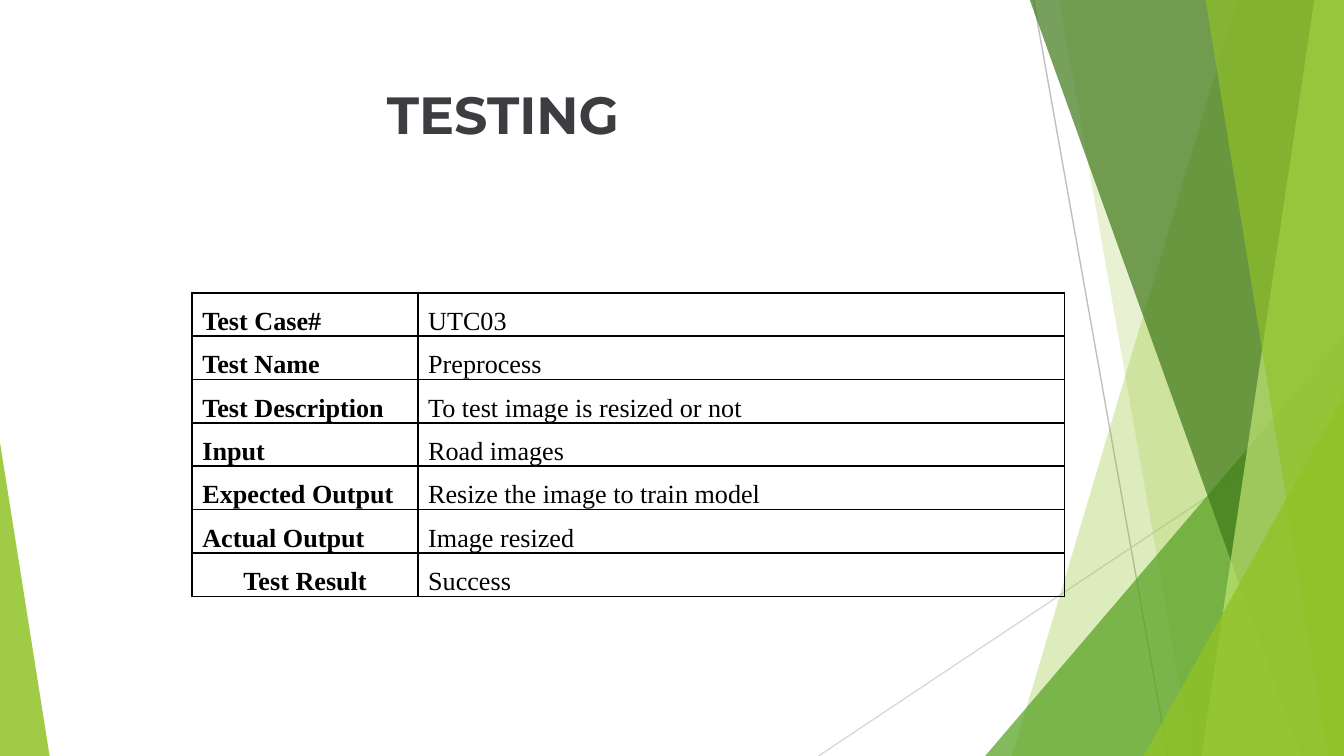
from lxml import etree
from pptx import Presentation
from pptx.dml.color import RGBColor
from pptx.enum import shapes, text
from pptx.oxml import ns
from pptx.util import Pt

WIDTH, HEIGHT = 720, 405
TOP = -0.6
GREEN = "90C226"


def color(value):
    return RGBColor.from_string(value)


class Deck:
    heading_font = "Montserrat"
    table_font = "Times New Roman"
    ink = "000000"

    def __init__(self):
        self.presentation = Presentation()
        self.presentation.slide_width = Pt(WIDTH)
        self.presentation.slide_height = Pt(HEIGHT)
        self.slide = self.presentation.slides.add_slide(self.presentation.slide_layouts[5])

    def line(self, start, end, stroke):
        connector = self.slide.shapes.add_connector(
            shapes.MSO_CONNECTOR.STRAIGHT, *map(Pt, start + end))
        connector.line.color.rgb = color(stroke)
        connector.line.width = Pt(0.75)
        etree.SubElement(connector._element.spPr, ns.qn("a:effectLst"))

    def paint(self, shape, fill, opacity):
        shape.shadow.inherit = False
        shape.line.fill.background()
        shape.fill.solid()
        shape.fill.fore_color.rgb = color(fill)
        tint = shape._element.spPr.find(".//" + ns.qn("a:srgbClr"))
        etree.SubElement(tint, ns.qn("a:alpha"), val=str(opacity * 1000))

    def band(self, top_left, bottom_left, fill, opacity):
        builder = self.slide.shapes.build_freeform(Pt(top_left), Pt(TOP))
        corners = [(WIDTH, TOP), (WIDTH, HEIGHT), (bottom_left, HEIGHT)]
        builder.add_line_segments([(Pt(x), Pt(y)) for x, y in corners])
        self.paint(builder.convert_to_shape(), fill, opacity)

    def triangle(self, left, top, width, apex, fill, opacity):
        shape = self.slide.shapes.add_shape(
            shapes.MSO_SHAPE.ISOSCELES_TRIANGLE,
            Pt(left), Pt(top), Pt(width), Pt(HEIGHT - top))
        shape.adjustments[0] = apex
        self.paint(shape, fill, opacity)

    def title(self, wording, left, top, width, height):
        title = self.slide.shapes.title
        title.left, title.top, title.width, title.height = map(Pt, (left, top, width, height))
        self.slide.shapes._spTree.append(title._element)
        frame = title.text_frame
        frame.text = wording
        frame.word_wrap = True
        frame.auto_size = text.MSO_AUTO_SIZE.NONE
        frame.vertical_anchor = text.MSO_ANCHOR.TOP
        frame.margin_left = frame.margin_right = Pt(5)
        frame.margin_top = frame.margin_bottom = Pt(3)
        paragraph = frame.paragraphs[0]
        paragraph.alignment = text.PP_ALIGN.LEFT
        self.font(paragraph, self.heading_font, 28, "3C3D40", True)

    def font(self, paragraph, name, size, fill, bold):
        font = paragraph.font
        font.name, font.size, font.bold = name, Pt(size), bold
        font.color.rgb = color(fill)

    def table(self, rows, left, top, widths, row_height):
        table = self.slide.shapes.add_table(
            len(rows), len(widths), Pt(left), Pt(top),
            Pt(sum(widths)), Pt(row_height * len(rows))).table
        table.first_row = table.horz_banding = False
        for column, width in zip(table.columns, widths):
            column.width = Pt(width)
        for row, wordings in zip(table.rows, rows):
            row.height = Pt(row_height)
            for index, (cell, wording) in enumerate(zip(row.cells, wordings)):
                self.cell(cell, wording, index == 0)
        return table

    def cell(self, cell, wording, bold):
        cell.margin_left = cell.margin_right = Pt(5.4)
        cell.margin_top = cell.margin_bottom = 0
        cell.text = wording
        paragraph = cell.text_frame.paragraphs[0]
        paragraph.alignment = text.PP_ALIGN.JUSTIFY
        paragraph.line_spacing = 1.5
        paragraph.space_after = Pt(10)
        self.font(paragraph, self.table_font, 14, self.ink, bold)
        properties = cell._tc.get_or_add_tcPr()
        for side in ("lnL", "lnR", "lnT", "lnB"):
            border = etree.SubElement(properties, ns.qn("a:" + side), w=str(Pt(1)))
            fill = etree.SubElement(border, ns.qn("a:solidFill"))
            etree.SubElement(fill, ns.qn("a:srgbClr"), val=self.ink)
        cell.fill.background()


def main():
    deck = Deck()
    deck.line((553.7, 0), (625.7, HEIGHT), "BFBFBF")
    deck.line((WIDTH, 217.4), (438.5, HEIGHT), "D9D9D9")
    deck.band(663, 542.2, GREEN, 30)
    deck.band(567.4, 638.6, GREEN, 20)
    deck.triangle(527.8, 180, 192.2, 1, "54A021", 72)
    deck.band(551.5, 697, "3F7819", 70)
    deck.band(704.2, 643.7, "C0E474", 70)
    deck.band(645.8, 711.4, GREEN, 65)
    deck.triangle(612.7, 211.7, 107.3, 1, GREEN, 80)
    deck.triangle(0, 236.9, 26.6, 0, GREEN, 85)

    deck.title("TESTING", 202.3, 41, 386.6, 70.6)
    test_case = [
        ("Test Case#", "UTC03"),
        ("Test Name", "Preprocess"),
        ("Test Description", "To test image is resized or not"),
        ("Input", "Road images"),
        ("Expected Output", "Resize the image to train model"),
        ("Actual Output", "Image resized"),
        ("Test Result", "Success"),
    ]
    table = deck.table(test_case, 103, 156.8, (121, 346.3), 23.25)
    result_label = table.cell(len(test_case) - 1, 0).text_frame.paragraphs[0]
    result_label.alignment = text.PP_ALIGN.CENTER
    deck.presentation.save("out.pptx")


if __name__ == "__main__":
    main()
